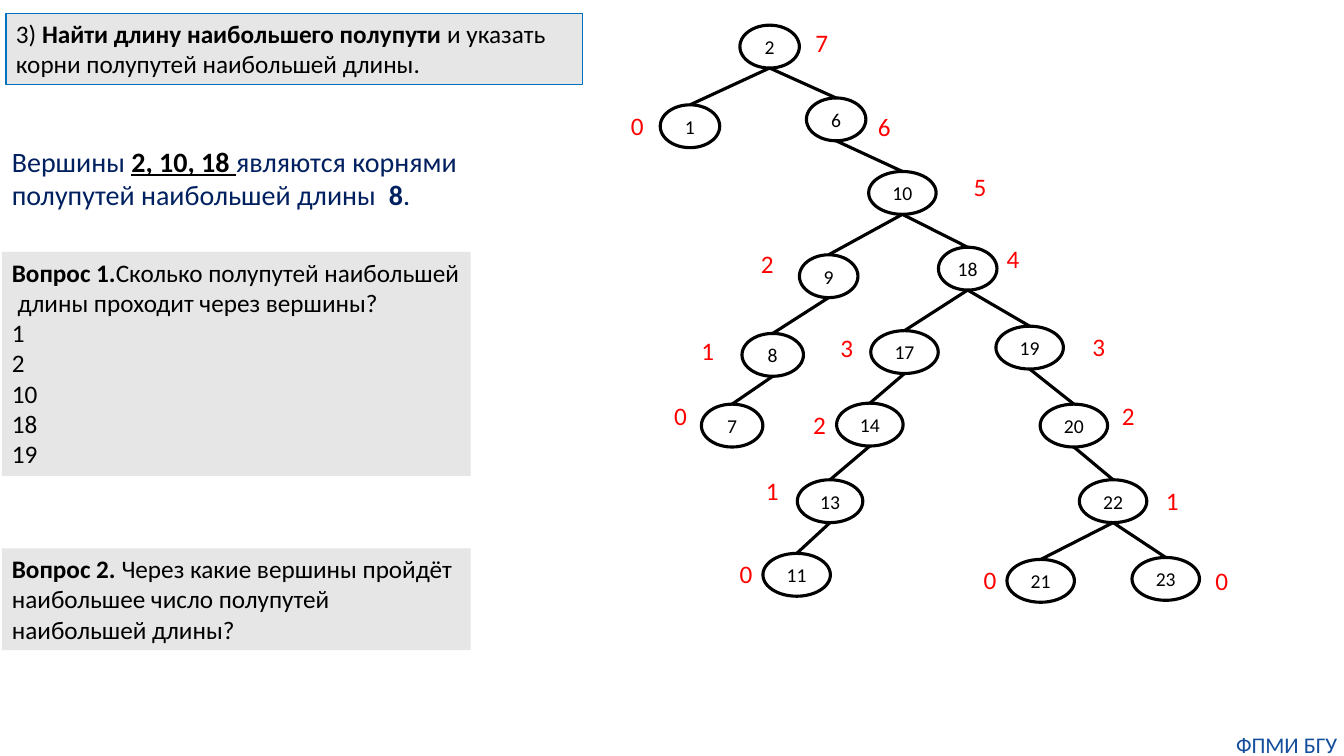
from lxml.etree import SubElement
from pptx import Presentation
from pptx.dml.color import RGBColor
from pptx.enum.shapes import MSO_CONNECTOR, MSO_SHAPE
from pptx.enum.text import MSO_ANCHOR, PP_ALIGN
from pptx.oxml.ns import qn
from pptx.util import Pt

NODE_H = 30.6
INK, RED, NAVY, GREY = "000000", "FF0000", "002060", "E7E6E6"

NODES = {
    "2": (528.5, 18, 42.5, None, "7", 575.3, 15.8),
    "1": (471.6, 74.9, 42.5, "2", "0", 443.5, 74.9),
    "6": (576, 70, 42.5, "2", "6", 620, 75.6),
    "10": (620.5, 122.5, 48.2, "6", "5", 688.3, 118.8),
    "9": (571, 182, 41.8, "10", "2", 536.4, 173.5),
    "18": (670.3, 176.6, 41.8, "10", "4", 712, 170),
    "8": (530, 238.2, 43.9, "9", "1", 494, 236.2),
    "7": (501, 288.7, 43.9, "8", "0", 474.5, 282.2),
    "17": (622, 236.2, 48.2, "18", "3", 593.3, 234),
    "19": (711.4, 233, 48.2, "18", "3", 773.3, 233.3),
    "14": (597.6, 288, 47.5, "17", "2", 573.8, 288.7),
    "13": (569.5, 342.7, 46.8, "14", "1", 540, 336.2),
    "11": (545, 395.3, 48.2, "13", "0", 521.3, 395.3),
    "20": (743, 288.7, 48.2, "19", "2", 794.2, 282.2),
    "22": (771, 342.7, 48.2, "20", "1", 825.8, 343.4),
    "21": (719.3, 399.6, 48.2, "22", "0", 695.5, 399.6),
    "23": (808.6, 398.2, 48.2, "22", "0", 861, 400.3),
}


def color(value):
    return RGBColor.from_string(value)


def apply(obj, formats):
    for name, value in formats.items():
        setattr(obj, name, value)


def write(sp, paragraphs, size, ink=INK, frame=None, para=None):
    tf = sp.text_frame
    apply(tf, {"word_wrap": True, **(frame or {})})
    for i, runs in enumerate(paragraphs):
        p = tf.add_paragraph() if i else tf.paragraphs[0]
        apply(p, {"alignment": PP_ALIGN.LEFT, **(para or {})})
        for text, formats in runs:
            r = p.add_run()
            r.text = text
            style = {"name": "Calibri", "size": Pt(size), **formats}
            r.font.color.rgb = color(style.pop("ink", ink))
            apply(r.font, style)


def add_text(s, box, paragraphs, size, ink=INK, frame=None, para=None):
    sp = s.shapes.add_textbox(*map(Pt, box))
    write(sp, paragraphs, size, ink, frame, para)


def add_shape(s, kind, box, fill=None, line=None, width=0.75):
    sp = s.shapes.add_shape(kind, *map(Pt, box))
    sp.shadow.inherit = False
    if fill:
        sp.fill.solid()
        sp.fill.fore_color.rgb = color(fill)
    else:
        sp.fill.background()
    if line:
        sp.line.color.rgb = color(line)
        sp.line.width = Pt(width)
    else:
        sp.line.fill.background()
    return sp


def add_panel(s, box, paragraphs, line=None, para=None):
    sp = add_shape(s, MSO_SHAPE.RECTANGLE, box, GREY, line)
    write(sp, paragraphs, 18, frame={"vertical_anchor": MSO_ANCHOR.TOP}, para=para)


def add_node(s, value, left, top, width):
    sp = add_shape(s, MSO_SHAPE.OVAL, (left, top, width, NODE_H), line=INK, width=2.25)
    write(sp, [[(value, {})]], 14, frame={"vertical_anchor": MSO_ANCHOR.MIDDLE},
          para={"alignment": PP_ALIGN.CENTER})
    return sp


def add_edge(s, parent, child):
    x = parent.left + parent.width // 2
    y = parent.top + parent.height
    cx = s.shapes.add_connector(MSO_CONNECTOR.STRAIGHT, x, y,
                                child.left + child.width // 2, child.top)
    cx.end_connect(child, 0)
    cx.line.color.rgb = color(INK)
    cx.line.width = Pt(2.25)
    SubElement(cx._element.spPr, qn("a:effectLst"))


def add_tree(s):
    ovals = {}
    for value, (left, top, width, parent, height, x, y) in NODES.items():
        add_text(s, (x, y, 23.8, 29), [[(height, {})]], 18, RED, {"word_wrap": False})
        ovals[value] = add_node(s, value, left, top, width)
        if parent:
            add_edge(s, ovals[parent], ovals[value])


def main():
    prs = Presentation()
    apply(prs, {"slide_width": Pt(960), "slide_height": Pt(540)})
    s = prs.slides.add_slide(prs.slide_layouts[6])
    bold = {"bold": True}
    add_tree(s)
    add_panel(s, (4.3, 9.4, 412, 51), [[
        ("3) ", {}), ("Найти длину наибольшего полупути ", bold),
        ("и указать корни полупутей наибольшей длины.", {})]],
        "0070C0", {"space_after": Pt(10)})
    add_text(s, (1.4, 99.4, 334.8, 77.8), [[
        ("Вершины ", {}),
        ("2, 10, 18 ", {"bold": True, "underline": True, "ink": INK}),
        ("являются корнями полупутей наибольшей длины  ", {}),
        ("8", bold), (".", {})]], 20, NAVY)
    answers = [[(value, {})] for value in ("1", "2", "10", "18", "19")]
    add_panel(s, (1.4, 180, 334.8, 160), [[
        ("Вопрос 1.", bold),
        ("Сколько полупутей наибольшей  длины проходит через вершины?", {})]] + answers)
    add_panel(s, (1.4, 391.7, 334.8, 72.7), [[
        ("Вопрос 2. ", bold),
        ("Через какие вершины пройдёт наибольшее число полупутей наибольшей длины?", {})]])
    margins = dict.fromkeys(("margin_left", "margin_top", "margin_right", "margin_bottom"), 0)
    add_text(s, (878.4, 522, 81.4, 19.4), [[("ФПМИ БГУ", {})]], 16, "144E9D",
             margins, {"alignment": PP_ALIGN.CENTER})
    prs.save("out.pptx")


if __name__ == "__main__":
    main()
